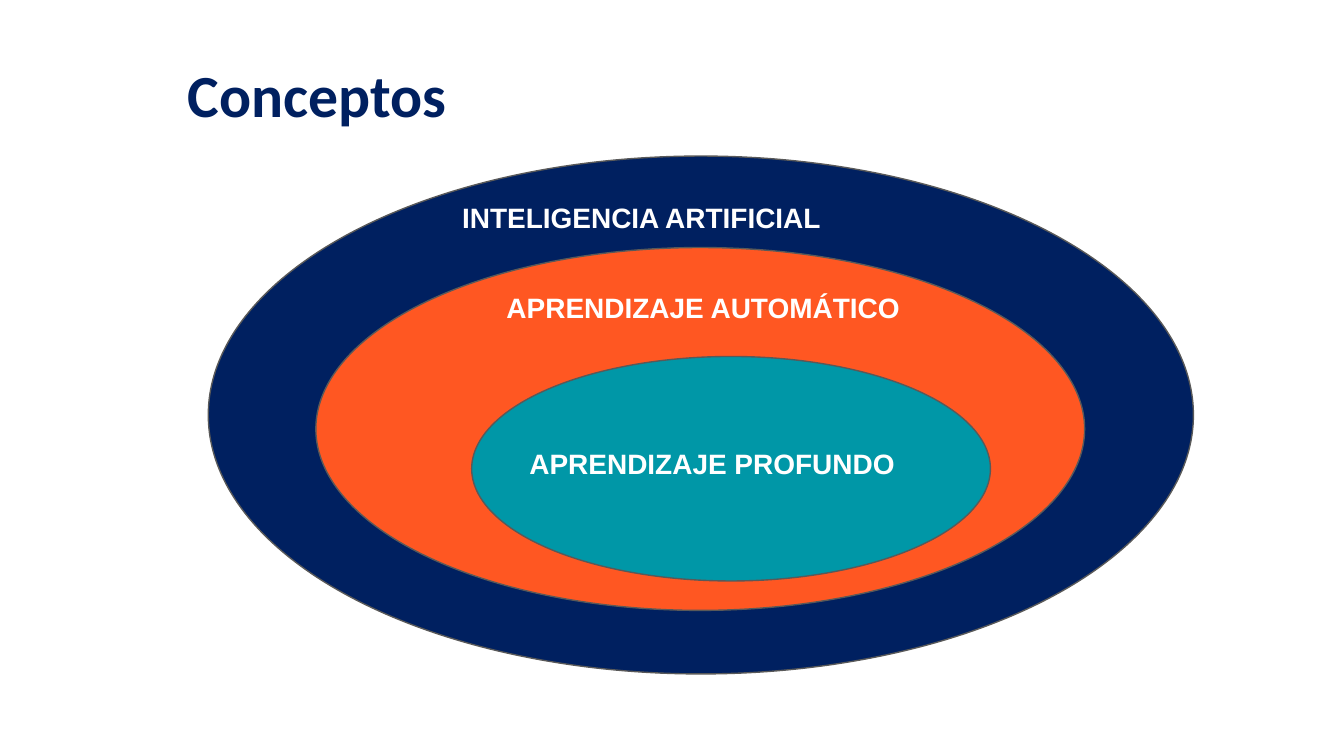
"""Build a slide of nested ellipses relating three artificial intelligence concepts."""
from dataclasses import dataclass

from pptx import Presentation
from pptx.dml.color import RGBColor
from pptx.enum.shapes import MSO_SHAPE
from pptx.enum.text import MSO_ANCHOR
from pptx.slide import Slide
from pptx.util import Inches, Pt

NAVY = RGBColor(0x00, 0x20, 0x60)
ORANGE = RGBColor(0xFF, 0x57, 0x22)
TEAL = RGBColor(0x00, 0x97, 0xA7)
GREY = RGBColor(0x59, 0x59, 0x59)
WHITE = RGBColor(0xFF, 0xFF, 0xFF)

ELLIPSE = MSO_SHAPE.OVAL
TOP = MSO_ANCHOR.TOP
MIDDLE = MSO_ANCHOR.MIDDLE

SLIDE_WIDTH = Inches(10)
SLIDE_HEIGHT = SLIDE_WIDTH * 9 // 16
INSET = Inches(0.1)
LABEL_WIDTH = 70.1
LABEL_HEIGHT = 8


@dataclass(frozen=True)
class Area:
    """A rectangle in percent of the slide's width and height."""

    left: float
    top: float
    width: float
    height: float

    def lengths(self) -> tuple[int, int, int, int]:
        """Return left, top, width and height as slide lengths."""
        return (
            round(SLIDE_WIDTH * self.left / 100),
            round(SLIDE_HEIGHT * self.top / 100),
            round(SLIDE_WIDTH * self.width / 100),
            round(SLIDE_HEIGHT * self.height / 100),
        )


@dataclass(frozen=True)
class TextStyle:
    """The look of a bold line of text."""

    font: str
    size: int
    color: RGBColor
    anchor: MSO_ANCHOR = TOP


@dataclass(frozen=True)
class Concept:
    """An ellipse and the place where its label starts."""

    label: str
    fill: RGBColor
    area: Area
    label_left: float
    label_top: float


TITLE_STYLE = TextStyle("Calibri", 32, NAVY, MIDDLE)
LABEL_STYLE = TextStyle("Arial", 15, WHITE)
TITLE_AREA = Area(13, 4.1, 82, 16.7)
CONCEPTS = (
    Concept("INTELIGENCIA ARTIFICIAL", NAVY, Area(15.5, 20.65, 73.3, 68.5), 33.4, 24.75),
    Concept("APRENDIZAJE AUTOMÁTICO", ORANGE, Area(23.5, 32.75, 57.2, 48), 36.7, 36.6),
    Concept("APRENDIZAJE PROFUNDO", TEAL, Area(35.1, 47.15, 38.6, 29.7), 38.4, 57.3),
)


def add_text(slide: Slide, text: str, area: Area, style: TextStyle) -> None:
    """Add a text box holding one bold paragraph."""
    frame = slide.shapes.add_textbox(*area.lengths()).text_frame
    frame.word_wrap = True
    frame.vertical_anchor = style.anchor
    frame.margin_left = frame.margin_right = INSET
    frame.margin_top = frame.margin_bottom = INSET
    para = frame.paragraphs[0]
    para.text = text
    para.font.name = style.font
    para.font.size = Pt(style.size)
    para.font.bold = True
    para.font.color.rgb = style.color


def add_concept(slide: Slide, concept: Concept) -> None:
    """Add an outlined ellipse with its label on top."""
    ellipse = slide.shapes.add_shape(ELLIPSE, *concept.area.lengths())
    ellipse.shadow.inherit = False
    ellipse.fill.solid()
    ellipse.fill.fore_color.rgb = concept.fill
    ellipse.line.color.rgb = GREY
    ellipse.line.width = Pt(0.75)
    label_area = Area(concept.label_left, concept.label_top, LABEL_WIDTH, LABEL_HEIGHT)
    add_text(slide, concept.label, label_area, LABEL_STYLE)


def main() -> None:
    """Build and save the deck."""
    deck = Presentation()
    deck.slide_width = SLIDE_WIDTH
    deck.slide_height = SLIDE_HEIGHT
    slide = deck.slides.add_slide(deck.slide_layouts[6])
    add_text(slide, "Conceptos", TITLE_AREA, TITLE_STYLE)
    for concept in CONCEPTS:
        add_concept(slide, concept)
    deck.save("out.pptx")


if __name__ == "__main__":
    main()
